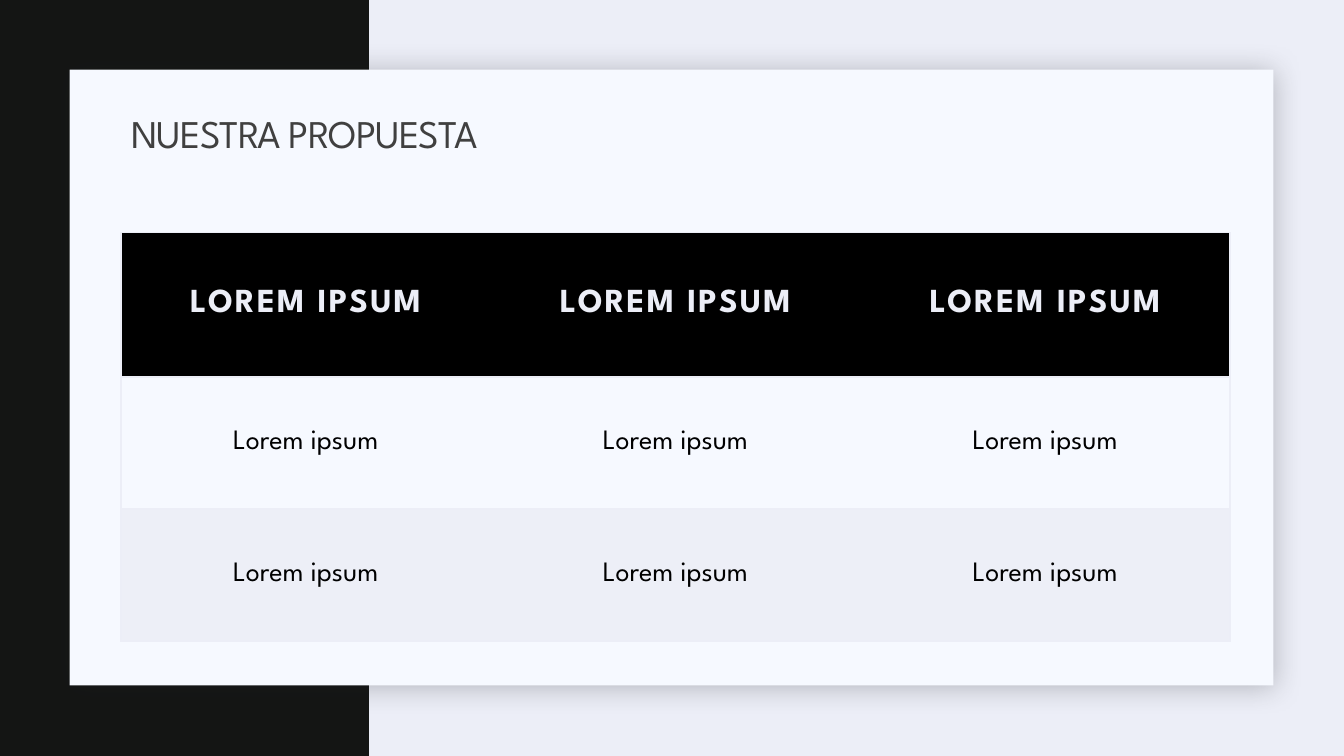
from dataclasses import dataclass

from lxml.etree import SubElement
from pptx import Presentation
from pptx.dml.color import RGBColor
from pptx.enum.shapes import MSO_SHAPE
from pptx.enum.text import MSO_ANCHOR, PP_ALIGN
from pptx.oxml import parse_xml
from pptx.oxml.ns import nsdecls, qn
from pptx.util import Inches, Pt


@dataclass(frozen=True)
class Theme:
    font: str = "League Spartan"
    background: str = "ECEEF7"
    panel: str = "141514"
    card: str = "F6F9FF"
    shadow: str = "1F2125"
    title: str = "404040"
    header: str = "000000"
    body: str = "000000"
    band: str = "EDEFF7"
    title_size: int = 28
    header_size: int = 24
    body_size: int = 20


theme = Theme()


def write_text(text_frame, text, size, color, bold=False, spacing=0,
               align=PP_ALIGN.LEFT, line_spacing=1.0):
    """Fill the first paragraph; spacing is the letter spacing in points."""
    paragraph = text_frame.paragraphs[0]
    paragraph.alignment = align
    paragraph.line_spacing = line_spacing
    run = paragraph.add_run()
    run.text = text
    run.font.name = theme.font
    run.font.size = Pt(size)
    run.font.bold = bold
    run.font.color.rgb = RGBColor.from_string(color)
    run.font._element.set("spc", str(round(spacing * 100)))


def add_rectangle(slide, left, top, width, height, color):
    shape = slide.shapes.add_shape(MSO_SHAPE.RECTANGLE, left, top, width, height)
    shape.fill.solid()
    shape.fill.fore_color.rgb = RGBColor.from_string(color)
    shape.line.fill.background()
    shape.shadow.inherit = False
    return shape


presentation = Presentation()
presentation.slide_width = Inches(13.33)
presentation.slide_height = Inches(7.5)
slide = presentation.slides.add_slide(presentation.slide_layouts[5])
slide.background.fill.solid()
slide.background.fill.fore_color.rgb = RGBColor.from_string(theme.background)

# Dark side panel and the card on top of it
margin = Inches(0.69)
content_left, content_width = Inches(1.2), Inches(11)
add_rectangle(slide, 0, 0, Inches(3.66), presentation.slide_height, theme.panel)
card = add_rectangle(slide, margin, margin, Inches(11.94), Inches(6.11), theme.card)
effects = card._element.spPr.find(qn("a:effectLst"))
shadow = SubElement(effects, qn("a:outerShdw"), blurRad=str(Pt(20)), dist=str(Pt(2)),
                    dir=str(45 * 60000), algn="ctr", rotWithShape="0")
shadow_color = SubElement(shadow, qn("a:srgbClr"), val=theme.shadow)
SubElement(shadow_color, qn("a:alpha"), val="28000")

# Title, brought in front of the card
title = slide.shapes.title
title._element.getparent().append(title._element)
title.left, title.top = content_left, Inches(1.03)
title.width, title.height = content_width, Inches(0.64)
title.text_frame.word_wrap = True
title.text_frame.vertical_anchor = MSO_ANCHOR.MIDDLE
write_text(title.text_frame, "NUESTRA PROPUESTA", theme.title_size, theme.title,
           spacing=-0.5, line_spacing=0.9)

# Table: one header row and two body rows, framed by thin lines
rows = [["LOREM IPSUM"] * 3, ["Lorem ipsum"] * 3, ["Lorem ipsum"] * 3]
row_heights = [1.43, 1.31, 1.31]
row_fills = [theme.header, theme.card, theme.band]
column_count = len(rows[0])
table = slide.shapes.add_table(len(rows), column_count, content_left, Inches(2.31),
                               content_width, Inches(sum(row_heights))).table
for column in table.columns:
    column.width = content_width // column_count

header_format = dict(size=theme.header_size, color=theme.background, bold=True, spacing=1.5)
body_format = dict(size=theme.body_size, color=theme.body)
line_fill = f'<a:solidFill><a:srgbClr val="{theme.background}"/></a:solidFill>'

for row_index, texts in enumerate(rows):
    table.rows[row_index].height = Inches(row_heights[row_index])
    for column_index, text in enumerate(texts):
        cell = table.cell(row_index, column_index)
        cell.fill.solid()
        cell.fill.fore_color.rgb = RGBColor.from_string(row_fills[row_index])
        cell.vertical_anchor = MSO_ANCHOR.MIDDLE
        cell.margin_left = cell.margin_right = Inches(0.25)
        cell.margin_top = cell.margin_bottom = Inches(0.25)
        write_text(cell.text_frame, text, align=PP_ALIGN.CENTER,
                   **(header_format if row_index == 0 else body_format))
        edges = {"lnL": column_index == 0, "lnR": column_index == column_count - 1,
                 "lnT": True, "lnB": True}
        for position, (edge, visible) in enumerate(edges.items()):
            fill = line_fill if visible else "<a:noFill/>"
            border = parse_xml(f'<a:{edge} {nsdecls("a")} w="{Pt(1)}">{fill}</a:{edge}>')
            cell._tc.tcPr.insert(position, border)

presentation.save("out.pptx")
